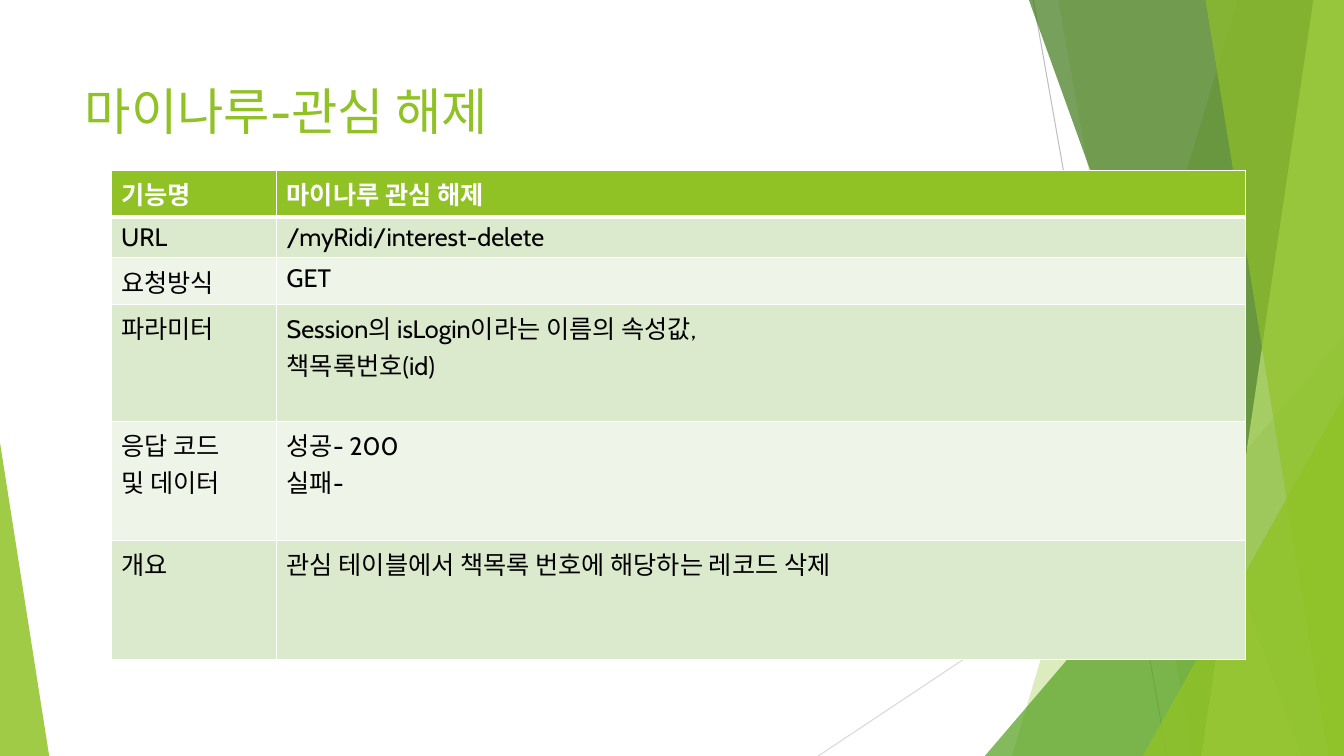
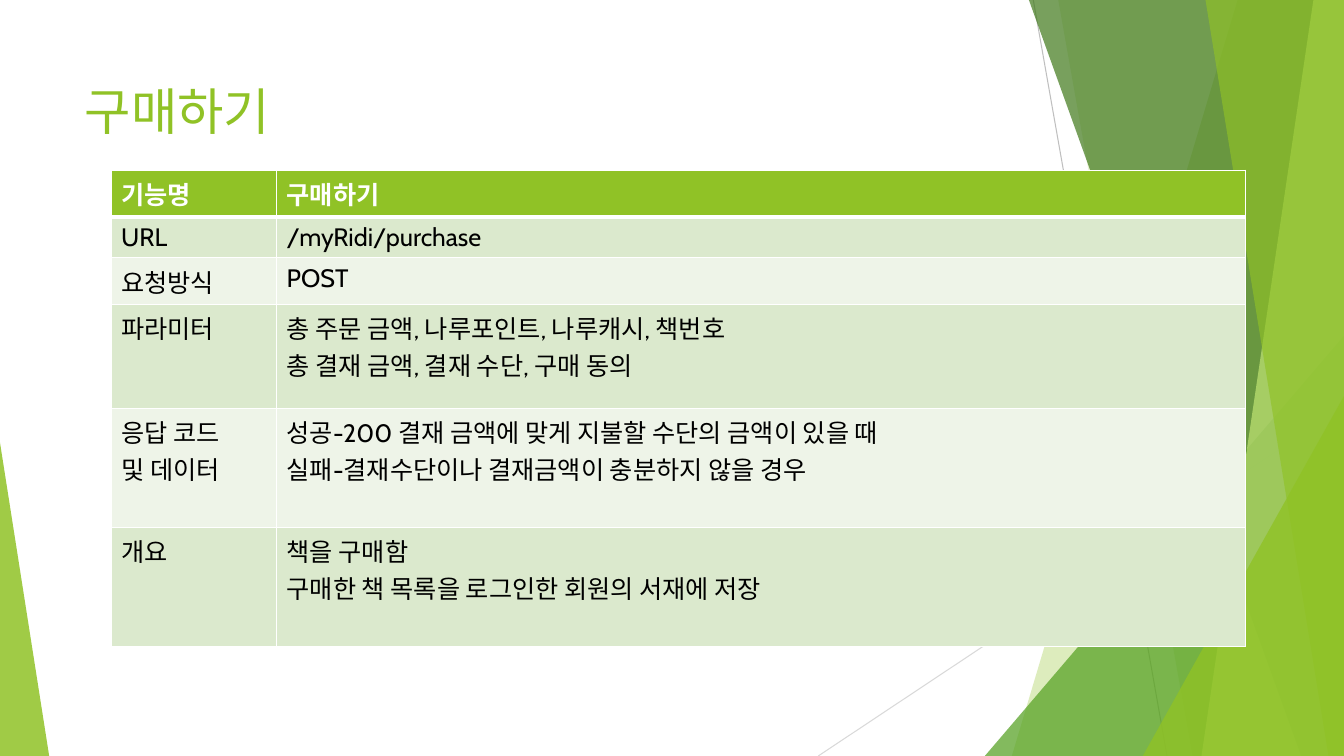
from lxml import etree
from pptx import Presentation
from pptx.dml.color import RGBColor
from pptx.enum import shapes, text
from pptx.oxml import ns
from pptx.util import Cm, Pt

LIME = RGBColor(0x90, 0xC2, 0x26)
PALE_LIME = RGBColor(0xC0, 0xE4, 0x74)
GREEN = RGBColor(0x54, 0xA0, 0x21)
DARK_GREEN = RGBColor(0x3F, 0x78, 0x19)
ROW_ODD = RGBColor(0xDB, 0xE9, 0xCD)
ROW_EVEN = RGBColor(0xEE, 0xF4, 0xE8)
GRAY = RGBColor(0xBF, 0xBF, 0xBF)
LIGHT_GRAY = RGBColor(0xD9, 0xD9, 0xD9)
WHITE = RGBColor(0xFF, 0xFF, 0xFF)
BLACK = RGBColor(0, 0, 0)
FONT = "Cabin"
W, H = 33.87, 19.05

# Title, first row height of the variable part, table rows
PAGES = [
    ("마이나루-관심 해제", 2.95, [
        ("기능명", "마이나루 관심 해제"),
        ("URL", "/myRidi/interest-delete"),
        ("요청방식", "GET"),
        ("파라미터", "Session의 isLogin이라는 이름의 속성값,\n책목록번호(id)"),
        ("응답 코드\n및 데이터", "성공- 200\n실패-"),
        ("개요", "관심 테이블에서 책목록 번호에 해당하는 레코드 삭제"),
    ]),
    ("구매하기", 2.62, [
        ("기능명", "구매하기"),
        ("URL", "/myRidi/purchase"),
        ("요청방식", "POST"),
        ("파라미터", "총 주문 금액, 나루포인트, 나루캐시, 책번호\n총 결재 금액, 결재 수단, 구매 동의"),
        ("응답 코드\n및 데이터", "성공-200 결재 금액에 맞게 지불할 수단의 금액이 있을 때\n"
                          "실패-결재수단이나 결재금액이 충분하지 않을 경우"),
        ("개요", "책을 구매함\n구매한 책 목록을 로그인한 회원의 서재에 저장"),
    ]),
]


def paint(sp, color, opacity):
    """Flat, partly transparent fill without line or shadow."""
    sp.shadow.inherit = False
    sp.line.fill.background()
    sp.fill.solid()
    sp.fill.fore_color.rgb = color
    clr = sp._element.spPr.find(".//" + ns.qn("a:srgbClr"))
    etree.SubElement(clr, ns.qn("a:alpha"), val=str(opacity * 1000))


def set_border(cell, side, width):
    """Solid white border on one side (L, R, T or B) of a cell."""
    ln = etree.SubElement(cell._tc.get_or_add_tcPr(), ns.qn("a:ln" + side), w=str(Pt(width)))
    fill = etree.SubElement(ln, ns.qn("a:solidFill"))
    etree.SubElement(fill, ns.qn("a:srgbClr"), val=str(WHITE))


prs = Presentation()
prs.slide_width, prs.slide_height = Cm(W), Cm(H)

# Layout: title position, no footers
layout = prs.slide_layouts[5]
for ph in list(layout.placeholders):
    if ph.placeholder_format.type != shapes.PP_PLACEHOLDER.TITLE:
        ph._element.getparent().remove(ph._element)
title_format = {"left": Cm(1.88), "top": Cm(1.7), "width": Cm(23.88), "height": Cm(1.96)}
for name, value in title_format.items():
    setattr(layout.placeholders[0], name, value)

slides = [prs.slides.add_slide(layout) for page in PAGES]

# Decoration: thin lines, then bands and triangles from back to front
s = slides[0]
decoration = []
for x1, y1, x2, color in [(26.04, 0, 29.41, GRAY), (W, 10.24, 20.62, LIGHT_GRAY)]:
    line = s.shapes.add_connector(shapes.MSO_CONNECTOR.STRAIGHT, Cm(x1), Cm(y1), Cm(x2), Cm(H))
    line.line.color.rgb = color
    line.line.width = Pt(0.75)
    etree.SubElement(line._element.spPr, ns.qn("a:effectLst"))
    decoration.append(line)

# Bands give top and bottom x; triangles give left, top, width and apex
for kind, geometry, color, opacity in [
    ("band", (31.19, 25.5), LIME, 30),
    ("band", (26.67, 30.05), LIME, 20),
    ("triangle", (24.82, 8.46, W - 24.82, 1), GREEN, 72),
    ("band", (25.93, 32.79), DARK_GREEN, 70),
    ("band", (33.1, 30.28), PALE_LIME, 70),
    ("band", (30.38, 33.48), LIME, 65),
    ("triangle", (28.8, 9.98, W - 28.8, 1), LIME, 80),
    ("triangle", (0, 11.15, 1.24, 0), LIME, 85),
]:
    if kind == "band":
        x_top, x_bottom = geometry
        outline = s.shapes.build_freeform(Cm(x_top), 0)
        outline.add_line_segments([(Cm(W), 0), (Cm(W), Cm(H)), (Cm(x_bottom), Cm(H))])
        sp = outline.convert_to_shape()
    else:
        x, y, width, apex = geometry
        sp = s.shapes.add_shape(shapes.MSO_SHAPE.ISOSCELES_TRIANGLE,
                                Cm(x), Cm(y), Cm(width), Cm(H - y))
        sp.adjustments[0] = apex
    paint(sp, color, opacity)
    decoration.append(sp)

# The decoration belongs to the layout, behind every slide
for sp in decoration:
    layout.shapes._spTree.append(sp._element)

for s, (title, parameter_height, rows) in zip(slides, PAGES):
    # Title
    tf = s.shapes.title.text_frame
    tf.text = title
    tf.auto_size = text.MSO_AUTO_SIZE.NONE
    tf.vertical_anchor = text.MSO_ANCHOR.BOTTOM
    p = tf.paragraphs[0]
    p.alignment = text.PP_ALIGN.LEFT
    p.font.name, p.font.size = FONT, Pt(36)
    p.font.color.rgb = LIME

    # Table
    heights = [1, 1, 1.02, parameter_height, 3, 3]
    widths = [4.17, 24.42]
    table = s.shapes.add_table(len(rows), len(widths), Cm(2.8), Cm(4.29),
                               Cm(sum(widths)), Cm(sum(heights))).table
    for column, width in zip(table.columns, widths):
        column.width = Cm(width)
    for i, (row, height, texts) in enumerate(zip(table.rows, heights, rows)):
        row.height = Cm(height)
        header = i == 0
        for cell, value in zip(row.cells, texts):
            for side in "LRTB":
                under_header = (i, side) in [(0, "B"), (1, "T")]
                set_border(cell, side, 3 if under_header else 1)
            cell.fill.solid()
            cell.fill.fore_color.rgb = LIME if header else ROW_ODD if i % 2 else ROW_EVEN
            cell.text_frame.text = value
            for p in cell.text_frame.paragraphs:
                for name, setting in {"name": FONT, "size": Pt(18), "bold": header}.items():
                    setattr(p.font, name, setting)
                p.font.color.rgb = WHITE if header else BLACK

prs.save("out.pptx")
